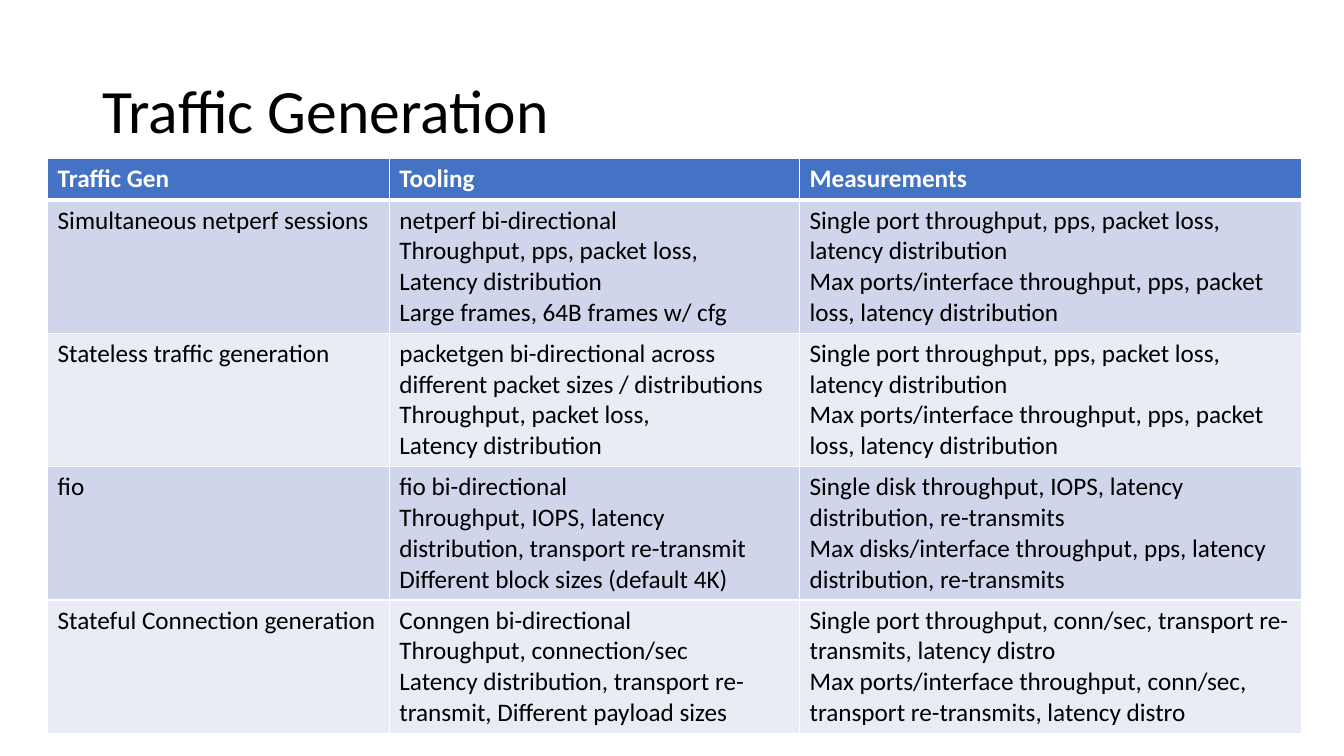
from lxml.etree import SubElement
from pptx import Presentation
from pptx.dml.color import RGBColor
from pptx.enum.text import MSO_ANCHOR, PP_ALIGN
from pptx.oxml.ns import qn
from pptx.util import Cm, Pt

BLACK = RGBColor(0x00, 0x00, 0x00)
WHITE = RGBColor(0xFF, 0xFF, 0xFF)
HEADER_BLUE = RGBColor(0x44, 0x72, 0xC4)
BAND_DARK = RGBColor(0xCF, 0xD5, 0xEA)
BAND_LIGHT = RGBColor(0xE9, 0xEB, 0xF5)

COLUMN_WIDTHS = (8.61, 10.34, 12.65)
HEADER_HEIGHT = 1.04
BODY_HEIGHT = 3.36

PORT_MEASUREMENTS = (
    "Single port throughput, pps, packet loss, latency distribution",
    "Max ports/interface throughput, pps, packet loss, latency distribution",
)

# Each row holds cells, each cell holds its paragraphs
TRAFFIC_ROWS = [
    [("Traffic Gen",), ("Tooling",), ("Measurements",)],
    [
        ("Simultaneous netperf sessions",),
        ("netperf bi-directional",
         "Throughput, pps, packet loss,",
         "Latency distribution",
         "Large frames, 64B frames w/ cfg"),
        PORT_MEASUREMENTS,
    ],
    [
        ("Stateless traffic generation",),
        ("packetgen bi-directional across different packet sizes / distributions",
         "Throughput, packet loss,",
         "Latency distribution"),
        PORT_MEASUREMENTS,
    ],
    [
        ("fio",),
        ("fio bi-directional",
         "Throughput, IOPS, latency distribution, transport re-transmit",
         "Different block sizes (default 4K)"),
        ("Single disk throughput, IOPS, latency distribution, re-transmits",
         "Max disks/interface throughput, pps, latency distribution, re-transmits"),
    ],
    [
        ("Stateful Connection generation",),
        ("Conngen bi-directional",
         "Throughput, connection/sec",
         "Latency distribution, transport re-transmit, Different payload sizes"),
        ("Single port throughput, conn/sec, transport re-transmits, latency distro",
         "Max ports/interface throughput, conn/sec, transport re-transmits, latency distro"),
    ],
]


class SlideBuilder:
    font_name = "Calibri"
    title_size = 44
    table_size = 18

    def __init__(self, presentation):
        self.slide = presentation.slides.add_slide(presentation.slide_layouts[5])

    def add_run(self, paragraph, text, size, color, bold=False):
        run = paragraph.add_run()
        run.text = text
        run.font.name = self.font_name
        run.font.size = Pt(size)
        run.font.bold = bold
        run.font.color.rgb = color

    def add_title(self, text, left, top, width, height):
        title = self.slide.shapes.title
        title.left, title.top = Cm(left), Cm(top)
        title.width, title.height = Cm(width), Cm(height)
        title.text_frame.vertical_anchor = MSO_ANCHOR.MIDDLE
        paragraph = title.text_frame.paragraphs[0]
        paragraph.alignment = PP_ALIGN.LEFT
        paragraph.line_spacing = 0.9
        self.add_run(paragraph, text, self.title_size, BLACK)

    def add_borders(self, cell, top, bottom):
        properties = cell._tc.get_or_add_tcPr()
        for side, width in (("L", 1), ("R", 1), ("T", top), ("B", bottom)):
            line = SubElement(properties, qn(f"a:ln{side}"), w=str(Pt(width)))
            fill = SubElement(line, qn("a:solidFill"))
            SubElement(fill, qn("a:srgbClr"), val=str(WHITE))

    def fill_cell(self, cell, lines, row_index):
        is_header = row_index == 0
        # The rule between header and body is thicker
        self.add_borders(cell, 3 if row_index == 1 else 1, 3 if is_header else 1)
        cell.fill.solid()
        band = BAND_DARK if row_index % 2 else BAND_LIGHT
        cell.fill.fore_color.rgb = HEADER_BLUE if is_header else band
        frame = cell.text_frame
        for index, line in enumerate(lines):
            paragraph = frame.add_paragraph() if index else frame.paragraphs[0]
            self.add_run(paragraph, line, self.table_size,
                         WHITE if is_header else BLACK, is_header)

    def add_table(self, rows, left, top, widths):
        heights = [HEADER_HEIGHT] + [BODY_HEIGHT] * (len(rows) - 1)
        table = self.slide.shapes.add_table(
            len(rows), len(widths), Cm(left), Cm(top),
            Cm(sum(widths)), Cm(sum(heights))).table
        for column, width in zip(table.columns, widths):
            column.width = Cm(width)
        for row_index, (row, height) in enumerate(zip(rows, heights)):
            table.rows[row_index].height = Cm(height)
            for column_index, lines in enumerate(row):
                self.fill_cell(table.cell(row_index, column_index), lines, row_index)


def main():
    presentation = Presentation()
    presentation.slide_width = Cm(33.87)
    presentation.slide_height = Cm(19.05)
    builder = SlideBuilder(presentation)

    # Title
    builder.add_title("Traffic Generation", 2.33, 1.01, 29.21, 3.68)

    # Traffic generators, their tools and what they measure
    builder.add_table(TRAFFIC_ROWS, 1.2, 4, COLUMN_WIDTHS)

    presentation.save("out.pptx")


if __name__ == "__main__":
    main()
